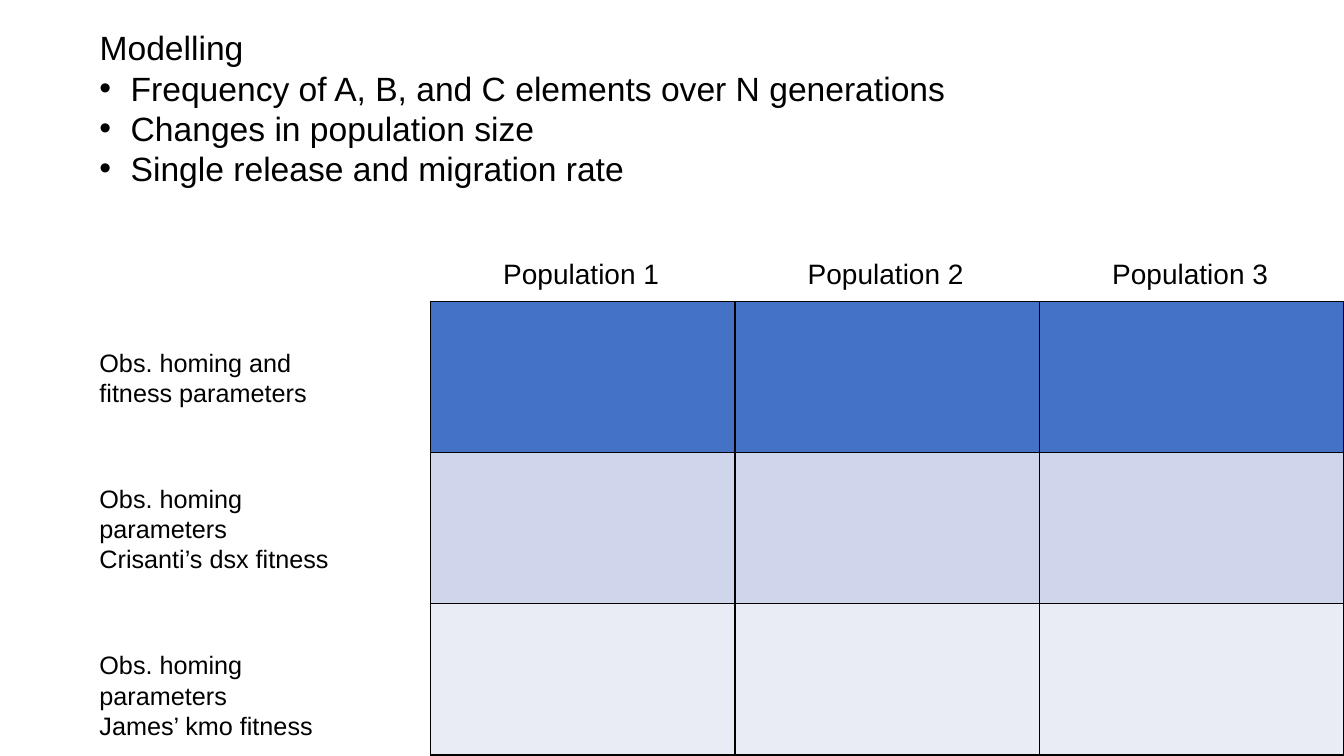
from lxml import etree
from pptx import Presentation
from pptx.dml.color import RGBColor
from pptx.enum.text import MSO_ANCHOR, MSO_AUTO_SIZE, PP_ALIGN
from pptx.oxml.ns import qn
from pptx.util import Inches, Pt

LEFT, CENTER = PP_ALIGN.LEFT, PP_ALIGN.CENTER
TOP, MIDDLE = MSO_ANCHOR.TOP, MSO_ANCHOR.MIDDLE
NO_FIT, GROW = MSO_AUTO_SIZE.NONE, MSO_AUTO_SIZE.SHAPE_TO_FIT_TEXT

BLACK = RGBColor(0x00, 0x00, 0x00)
BLUE = RGBColor(0x44, 0x72, 0xC4)
PALE_BLUE = RGBColor(0xCF, 0xD5, 0xEA)
FAINT_BLUE = RGBColor(0xE9, 0xEB, 0xF5)

GRID_LEFT, GRID_TOP = 4.27, 2.99
COLUMN, ROW = 3.02, 1.5
MARGIN = -1.12
INDENT = Inches(0.31)

TOPICS = [
    "Frequency of A, B, and C elements over N generations",
    "Changes in population size",
    "Single release and migration rate",
]
POPULATIONS = ["Population 1", "Population 2", "Population 3"]
SCENARIOS = [
    (0.27, 0.47, ["Obs. homing and fitness parameters"]),
    (1.17, 0.67, ["Obs. homing parameters", "Crisanti’s dsx fitness"]),
    (2.27, 0.67, ["Obs. homing parameters", "James’ kmo fitness"]),
]


class GridSlide:
    font_name = "Arial"

    def __init__(self, deck):
        self.slide = deck.slides.add_slide(deck.slide_layouts[5])

    def frame(self, column, row, columns, rows):
        return (
            Inches(GRID_LEFT + column * COLUMN),
            Inches(GRID_TOP + row * ROW),
            Inches(columns * COLUMN),
            Inches(rows * ROW),
        )

    def fill_text(self, box, lines, size, align=LEFT, anchor=TOP, spacing=1.0):
        text = box.text_frame
        text.text = "\n".join(lines)
        text.vertical_anchor = anchor
        for para in text.paragraphs:
            para.alignment = align
            para.line_spacing = spacing
            para.font.name = self.font_name
            para.font.size = Pt(size)
            para.font.color.rgb = BLACK

    def title(self, words, size, *place):
        box = self.slide.shapes.title
        box.left, box.top, box.width, box.height = self.frame(*place)
        self.fill_text(box, [words], size)
        box.text_frame.auto_size = NO_FIT

    def text(self, lines, size, *place, wrap=True, **style):
        box = self.slide.shapes.add_textbox(*self.frame(*place))
        self.fill_text(box, lines, size, **style)
        box.text_frame.word_wrap = wrap
        box.text_frame.auto_size = GROW
        return box

    def bullets(self, lines, size, *place):
        box = self.text(lines, size, *place, wrap=False)
        for para in box.text_frame.paragraphs:
            properties = para._p.get_or_add_pPr()
            properties.set("marL", str(INDENT))
            properties.set("indent", str(-INDENT))
            font = etree.Element(qn("a:buFont"), typeface=self.font_name)
            bullet = etree.Element(qn("a:buChar"), char="•")
            position = len(properties.findall(qn("a:lnSpc")))
            properties.insert(position, font)
            properties.insert(position + 1, bullet)

    def border(self, cell):
        properties = cell._tc.get_or_add_tcPr()
        for position, side in enumerate(("lnL", "lnR", "lnT", "lnB")):
            line = etree.Element(qn(f"a:{side}"), w=str(Pt(1)))
            fill = etree.SubElement(line, qn("a:solidFill"))
            etree.SubElement(fill, qn("a:srgbClr"), val=str(BLACK))
            properties.insert(position, line)

    def table(self, row_fills, columns):
        place = self.frame(0, 0, columns, len(row_fills))
        table = self.slide.shapes.add_table(len(row_fills), columns, *place).table
        for row, fill in zip(table.rows, row_fills):
            for cell in row.cells:
                cell.fill.solid()
                cell.fill.fore_color.rgb = fill
                self.border(cell)


def main():
    deck = Presentation()
    deck.slide_width, deck.slide_height = Inches(13.33), Inches(7.5)
    page = GridSlide(deck)
    page.table([BLUE, PALE_BLUE, FAINT_BLUE], len(POPULATIONS))
    for column, population in enumerate(POPULATIONS):
        page.text([population], 20, column + 0.14, -0.52, 0.71, 0.45,
                  align=CENTER, anchor=MIDDLE, spacing=2.0)
    for row, height, lines in SCENARIOS:
        page.text(lines, 18, MARGIN, row, 0.84, height)
    page.title("Modelling", 24, MARGIN, -1.85, 2.87, 0.33)
    page.bullets(TOPICS, 24, MARGIN, -1.58, 2.87, 0.88)
    deck.save("out.pptx")


if __name__ == "__main__":
    main()
